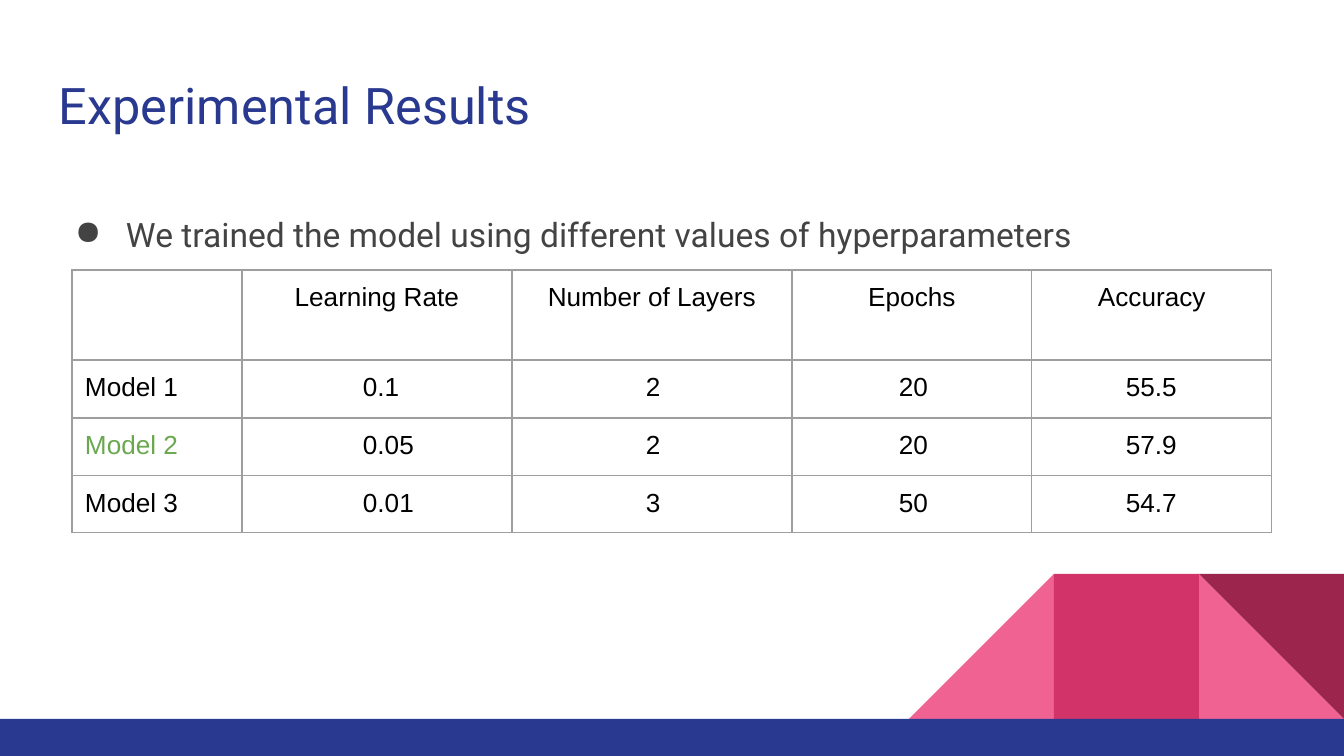
import pptx
import pptx.dml.color
import pptx.enum.shapes
import pptx.enum.text
import pptx.oxml
import pptx.oxml.ns
import pptx.util

EMU_PER_PIXEL = 914400 / 134.4
COLORS = {
    "navy": "2A3990", "pink": "F06292", "rose": "D23369", "wine": "9C254D",
    "gray": "434343", "black": "000000", "green": "6AA84F", "border": "9E9E9E",
}
INSET = 13
RESULTS = [
    ["", "Learning Rate", "Number of Layers", "Epochs", "Accuracy"],
    ["Model 1", "0.1", "2", "20", "55.5"],
    ["Model 2", "0.05", "2", "20", "57.9"],
    ["Model 3", "0.01", "3", "50", "54.7"],
]
COLUMN_WIDTHS = [170, 270, 280, 240, 240]
ROW_HEIGHTS = [90, 58, 56, 56]
VALUE_INDENTS = [0, 108, 121, 94, 81]
BEST_MODEL = "Model 2"


def px(pixels):
    """Turn pixels into EMU."""
    return pptx.util.Emu(round(pixels * EMU_PER_PIXEL))


def rgb(name):
    """Look up a named colour."""
    return pptx.dml.color.RGBColor.from_string(COLORS[name])


def set_insets(holder):
    """Give a text frame or table cell the same inset on every side."""
    for side in ("left", "top", "right", "bottom"):
        setattr(holder, f"margin_{side}", px(INSET))


def style_runs(paragraph, font, size, color):
    """Format every run of a paragraph."""
    for run in paragraph.runs:
        run.font.name = font
        run.font.size = pptx.util.Pt(size)
        run.font.color.rgb = rgb(color)


def add_block(slide, kind, box, color):
    """Add a plain filled shape."""
    block = slide.shapes.add_shape(kind, *map(px, box))
    block.shadow.inherit = False
    block.fill.solid()
    block.fill.fore_color.rgb = rgb(color)
    block.line.fill.background()
    return block


def add_decoration(slide):
    """Add the folded ribbon and the bar along the bottom."""
    shapes = pptx.enum.shapes.MSO_SHAPE
    side, top = 145, 574
    left, middle, right = (1344 - side * count for count in (3, 2, 1))
    add_block(slide, shapes.RIGHT_TRIANGLE, (right, top, side, side), "pink")
    slope = add_block(slide, shapes.RIGHT_TRIANGLE, (left, top, side, side), "pink")
    slope._element.spPr.find(pptx.oxml.ns.qn("a:xfrm")).set("flipH", "1")
    add_block(slide, shapes.RECTANGLE, (middle, top, side, side), "rose")
    corner = add_block(slide, shapes.RIGHT_TRIANGLE, (right, top, side, side), "wine")
    corner.rotation = 180
    add_block(slide, shapes.RECTANGLE, (0, 719, 1344, 37), "navy")


def add_text(slide, box, words, size, color, anchor):
    """Add a one-paragraph text box and return the paragraph."""
    frame = slide.shapes.add_textbox(*map(px, box)).text_frame
    frame.word_wrap = True
    frame.vertical_anchor = anchor
    set_insets(frame)
    frame.text = words
    style_runs(frame.paragraphs[0], "Roboto", size, color)
    return frame.paragraphs[0]


def add_bullet(paragraph, color):
    """Give a paragraph a round bullet with a hanging indent."""
    properties = paragraph._p.get_or_add_pPr()
    properties.set("marL", str(px(67)))
    properties.set("indent", str(px(-51)))
    namespace = pptx.oxml.ns.nsdecls("a")
    for markup in (
        f'<a:buClr {namespace}><a:srgbClr val="{COLORS[color]}"/></a:buClr>',
        f'<a:buChar {namespace} char="●"/>',
    ):
        properties.append(pptx.oxml.parse_xml(markup))


def add_borders(cell):
    """Draw a thin line on all four sides of a cell."""
    properties = cell._tc.get_or_add_tcPr()
    for position, side in enumerate("LRTB"):
        properties.insert(position, pptx.oxml.parse_xml(
            f'<a:ln{side} {pptx.oxml.ns.nsdecls("a")} w="{pptx.util.Pt(0.75)}">'
            f'<a:solidFill><a:srgbClr val="{COLORS["border"]}"/></a:solidFill>'
            f'</a:ln{side}>'))


def fill_cell(cell, words, is_header, indent):
    """Write and format one table cell."""
    cell.fill.background()
    set_insets(cell)
    add_borders(cell)
    cell.text_frame.text = words
    paragraph = cell.text_frame.paragraphs[0]
    if is_header:
        paragraph.alignment = pptx.enum.text.PP_ALIGN.CENTER
    elif indent:
        paragraph._p.get_or_add_pPr().set("marL", str(px(indent)))
    style_runs(paragraph, "Arial", 14, "green" if words == BEST_MODEL else "black")


def add_results(slide):
    """Add the table of hyperparameters and accuracy."""
    results = slide.shapes.add_table(
        len(ROW_HEIGHTS), len(COLUMN_WIDTHS), px(72), px(270),
        px(sum(COLUMN_WIDTHS)), px(sum(ROW_HEIGHTS))).table
    results.first_row = False
    results.horz_banding = False
    for column, width in zip(results.columns, COLUMN_WIDTHS):
        column.width = px(width)
    for row_index, (row, height) in enumerate(zip(results.rows, ROW_HEIGHTS)):
        row.height = px(height)
        for cell, words, indent in zip(row.cells, RESULTS[row_index], VALUE_INDENTS):
            fill_cell(cell, words, row_index == 0, indent)


def main():
    """Build and save the slide."""
    deck = pptx.Presentation()
    deck.slide_width, deck.slide_height = px(1344), px(756)
    slide = deck.slides.add_slide(deck.slide_layouts[6])
    anchors = pptx.enum.text.MSO_ANCHOR
    add_decoration(slide)
    add_text(slide, (46, 60, 1252, 89), "Experimental Results", 27, "navy",
             anchors.MIDDLE)
    finding = add_text(
        slide, (46, 181, 1252, 491),
        "We trained the model using different values of hyperparameters",
        18, "gray", anchors.TOP)
    finding.line_spacing = 1.5
    add_bullet(finding, "gray")
    add_results(slide)
    deck.save("out.pptx")


main()
